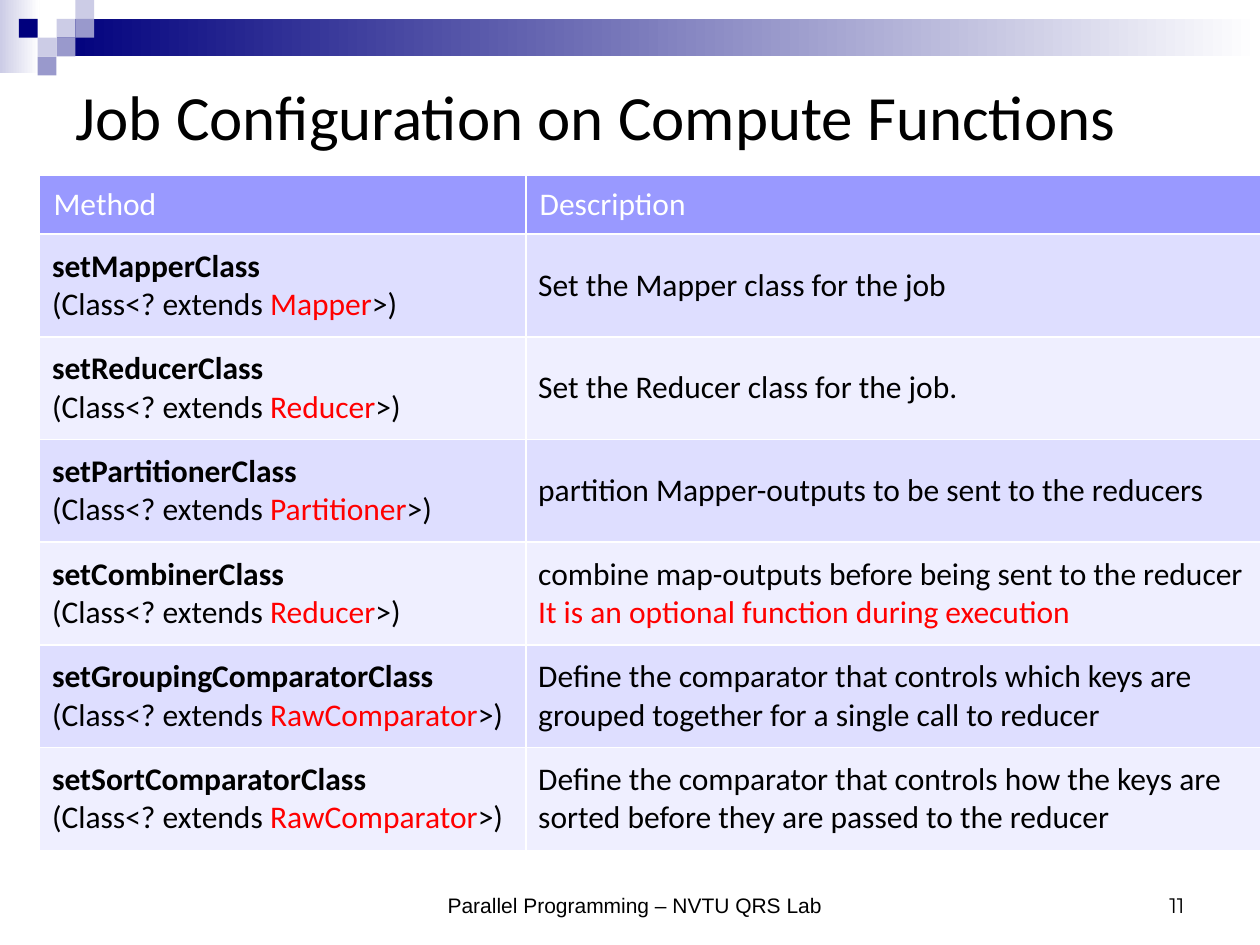
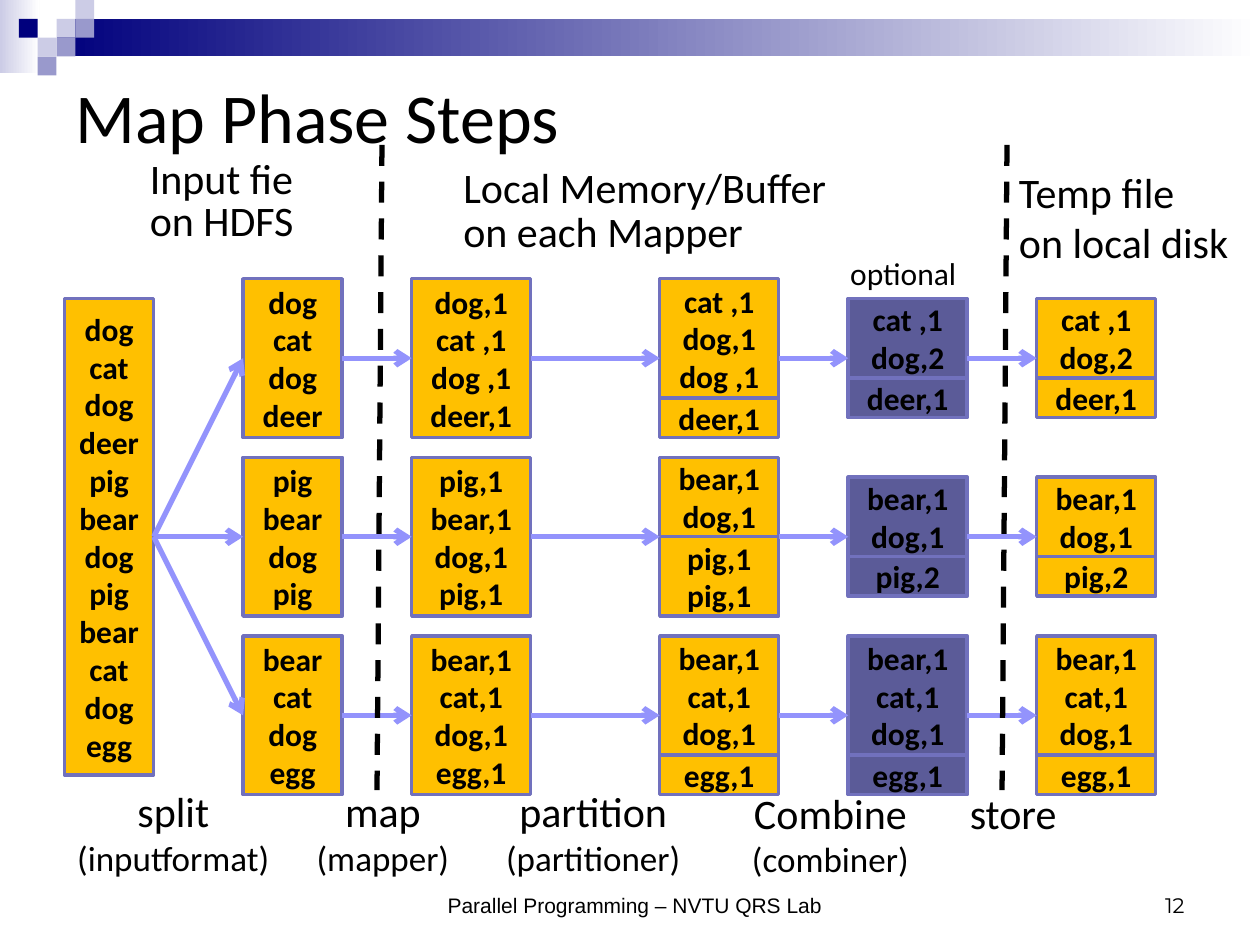
from dataclasses import dataclass
from itertools import chain
from typing import NamedTuple

from lxml.etree import SubElement
from pptx import Presentation
from pptx.dml.color import RGBColor
from pptx.enum.dml import MSO_LINE
from pptx.enum.shapes import MSO_CONNECTOR, MSO_SHAPE
from pptx.enum.text import MSO_ANCHOR, MSO_AUTO_SIZE, PP_ALIGN
from pptx.oxml.ns import qn
from pptx.util import Cm, Pt

# Shared look
BLACK, WHITE, RED = "000000", "FFFFFF", "FF0000"
NAVY, LILAC, MAUVE = "00007D", "CCCCE6", "9999CC"
HEADER_FILL, ROW_FILLS = "9999FF", ("DEDEFF", "EFEFFF")
AMBER, PURPLE, BOX_EDGE, ARROW = "FFC000", "5B5B98", "7171BD", "9393FC"
BODY_FONT = "Calibri"
FOOTER = "Parallel Programming – NVTU QRS Lab"
SQUARE = 0.38

# Map phase grid, in centimetres
LINE_HEIGHT = 0.8
LANE_CENTRES = [7.22 + 3.6 * lane for lane in range(3)]


class Span(NamedTuple):
    text: str
    size: float = 18
    color: str = BLACK
    bold: bool = False
    font: str = BODY_FONT


@dataclass
class Caption:
    left: float
    top: float
    width: float
    height: float
    lines: list[Span]
    align: PP_ALIGN = PP_ALIGN.LEFT
    spacing: float | None = None
    anchor: MSO_ANCHOR = MSO_ANCHOR.TOP


@dataclass
class Stage:
    """A column of boxes: each lane holds partitions, each partition lines."""
    left: float
    width: float
    lanes: list[list[str]]
    fill: str = AMBER


class Method(NamedTuple):
    name: str
    parameter: str
    description: str
    remark: str = ""


METHODS = [
    Method("setMapperClass", "Mapper", "Set the Mapper class for the job"),
    Method("setReducerClass", "Reducer", "Set the Reducer class for the job."),
    Method("setPartitionerClass", "Partitioner",
           "partition Mapper-outputs to be sent to the reducers"),
    Method("setCombinerClass", "Reducer",
           "combine map-outputs before being sent to the reducer",
           "It is an optional function during execution"),
    Method("setGroupingComparatorClass", "RawComparator",
           "Define the comparator that controls which keys are grouped "
           "together for a single call to reducer"),
    Method("setSortComparatorClass", "RawComparator",
           "Define the comparator that controls how the keys are sorted "
           "before they are passed to the reducer"),
]

# Lines are parted by "/", partitions are separate strings
SPLITS = [["dog/cat/dog/deer"], ["pig/bear/dog/pig"], ["bear/cat/dog/egg"]]
MAPPED = [["dog,1/cat ,1/dog ,1/deer,1"], ["pig,1/bear,1/dog,1/pig,1"],
          ["bear,1/cat,1/dog,1/egg,1"]]
PARTITIONED = [["cat ,1/dog,1/dog ,1", "deer,1"], ["bear,1/dog,1", "pig,1/pig,1"],
               ["bear,1/cat,1/dog,1", "egg,1"]]
COMBINED = [["cat ,1/dog,2", "deer,1"], ["bear,1/dog,1", "pig,2"],
            ["bear,1/cat,1/dog,1", "egg,1"]]

STAGES = [
    Stage(4.9, 2.0, SPLITS),
    Stage(8.3, 2.4, MAPPED),
    Stage(13.3, 2.4, PARTITIONED),
    Stage(17.1, 2.4, COMBINED, PURPLE),
    Stage(20.9, 2.4, COMBINED),
]
INPUT_LEFT, INPUT_WIDTH = 1.3, 1.8


def step(left: float, top: float, width: float, name: str, actor: str) -> Caption:
    return Caption(left, top, width, 2.13, [Span(name, 24), Span(actor, 20)],
                   PP_ALIGN.CENTER)


CAPTIONS = [
    Caption(2.77, 3.12, 3.73, 1.98, [Span("Input fie", 24), Span("on HDFS", 24)],
            spacing=24),
    Caption(9.09, 3.28, 8.18, 2.03,
            [Span("Local Memory/Buffer", 24), Span("on each Mapper", 24)],
            spacing=24.8),
    Caption(20.29, 3.23, 5.59, 2.31,
            [Span("Temp file", 24), Span("on local disk", 24)]),
    Caption(16.89, 5.0, 3.73, 1.02, [Span("optional")]),
    step(0.89, 15.72, 5.21, "split", "(inputformat)"),
    step(5.69, 15.72, 4.06, "map", "(mapper)"),
    step(8.71, 15.72, 6.5, "partition", "(partitioner)"),
    step(14.71, 15.75, 4.06, "Combine", "(combiner)"),
    Caption(19.3, 15.75, 2.8, 1.27, [Span("store", 24)]),
]


def rgb(color: str) -> RGBColor:
    return RGBColor.from_string(color)


# Text
def write(frame, lines: list[list[Span]], align=PP_ALIGN.LEFT,
          spacing: float | None = None) -> None:
    frame.word_wrap = True
    for index, line in enumerate(lines):
        para = frame.add_paragraph() if index else frame.paragraphs[0]
        para.alignment = align
        if spacing:
            para.line_spacing = Pt(spacing)
        for span in line:
            run = para.add_run()
            run.text = span.text
            run.font.name = span.font
            run.font.size = Pt(span.size)
            run.font.bold = span.bold
            run.font.color.rgb = rgb(span.color)


def add_caption(page, caption: Caption) -> None:
    box = page.shapes.add_textbox(Cm(caption.left), Cm(caption.top),
                                  Cm(caption.width), Cm(caption.height))
    box.text_frame.vertical_anchor = caption.anchor
    write(box.text_frame, [[span] for span in caption.lines],
          caption.align, caption.spacing)


# Shapes and lines
def add_rectangle(page, left: float, top: float, width: float, height: float,
                  fill: str, fade_to: str = "", edge: str = ""):
    box = page.shapes.add_shape(MSO_SHAPE.RECTANGLE, Cm(left), Cm(top),
                                Cm(width), Cm(height))
    box.shadow.inherit = False
    if fade_to:
        box.fill.gradient()
        box.fill.gradient_angle = 0
        for stop, color in zip(box.fill.gradient_stops, (fill, fade_to)):
            stop.color.rgb = rgb(color)
    else:
        box.fill.solid()
        box.fill.fore_color.rgb = rgb(fill)
    if edge:
        box.line.color.rgb = rgb(edge)
        box.line.width = Pt(2)
    else:
        box.line.fill.background()
    return box


def add_line(page, start: tuple[float, float], end: tuple[float, float],
             color: str, arrow: bool = False) -> None:
    line = page.shapes.add_connector(MSO_CONNECTOR.STRAIGHT, Cm(start[0]),
                                     Cm(start[1]), Cm(end[0]), Cm(end[1]))
    line.line.color.rgb = rgb(color)
    line.line.width = Pt(3)
    properties = line.element.spPr
    if arrow:
        SubElement(properties.find(qn("a:ln")), qn("a:tailEnd"), type="arrow")
    else:
        line.line.dash_style = MSO_LINE.DASH
    SubElement(properties, qn("a:effectLst"))


def add_data_box(page, left: float, top: float, width: float,
                 text: str, fill: str) -> float:
    """Draw a box as tall as its lines and return its bottom edge."""
    words = text.split("/")
    height = LINE_HEIGHT * len(words)
    box = add_rectangle(page, left, top, width, height, fill, edge=BOX_EDGE)
    box.text_frame.vertical_anchor = MSO_ANCHOR.MIDDLE
    write(box.text_frame, [[Span(word, bold=True)] for word in words],
          PP_ALIGN.CENTER)
    return top + height


# Page frame: bands, title and footer
def add_page(deck, title: str, title_size: float, number: int):
    page = deck.slides.add_slide(deck.slide_layouts[5])
    add_rectangle(page, 0, 0, 0.8, 1.47, LILAC, WHITE)
    add_rectangle(page, 3 * SQUARE, SQUARE, 24.26, 2 * SQUARE, NAVY, WHITE)
    squares = [(1, 1, NAVY)]
    for column in (2, 3, 4):
        squares += [(column, 4 - column, LILAC), (column, 5 - column, MAUVE)]
    for column, row, color in squares:
        add_rectangle(page, column * SQUARE, row * SQUARE, SQUARE, SQUARE, color)

    heading = page.shapes.title
    heading.left, heading.top = Cm(1.27), Cm(1.27)
    heading.width, heading.height = Cm(22.86), Cm(2.11)
    heading.text_frame.auto_size = MSO_AUTO_SIZE.NONE
    heading.text_frame.vertical_anchor = MSO_ANCHOR.MIDDLE
    write(heading.text_frame, [[Span(title, title_size)]])

    add_caption(page, Caption(7.82, 17.35, 9.96, 1.27,
                              [Span(FOOTER, 12, font="Arial")],
                              PP_ALIGN.CENTER, anchor=MSO_ANCHOR.BOTTOM))
    add_caption(page, Caption(18.21, 17.35, 5.92, 1.27,
                              [Span(str(number), 12, font="Montserrat")],
                              PP_ALIGN.RIGHT, anchor=MSO_ANCHOR.BOTTOM))
    return page


# Method table
def fill_cell(cell, lines: list[list[Span]], fill: str,
              margin_left: float, margin_right: float) -> None:
    cell.fill.solid()
    cell.fill.fore_color.rgb = rgb(fill)
    cell.vertical_anchor = MSO_ANCHOR.MIDDLE
    cell.margin_left, cell.margin_right = Cm(margin_left), Cm(margin_right)
    write(cell.text_frame, lines)


def add_method_table(page) -> None:
    widths, heights = [9.8, 14.81], [1.18] + [2.07] * len(METHODS)
    table = page.shapes.add_table(len(heights), len(widths), Cm(0.8), Cm(3.54),
                                  Cm(sum(widths)), Cm(sum(heights))).table
    for column, width in zip(table.columns, widths):
        column.width = Cm(width)
    for row, height in zip(table.rows, heights):
        row.height = Cm(height)
    for column, name in enumerate(("Method", "Description")):
        fill_cell(table.cell(0, column), [[Span(name, color=WHITE)]],
                  HEADER_FILL, 0.28, 0)
    for index, method in enumerate(METHODS):
        fill = ROW_FILLS[index % 2]
        signature = [Span("(Class<? extends "),
                     Span(method.parameter, color=RED), Span(">)")]
        description = [[Span(method.description)]]
        if method.remark:
            description.append([Span(method.remark, color=RED)])
        fill_cell(table.cell(index + 1, 0),
                  [[Span(method.name, bold=True)], signature], fill, 0.25, 0)
        fill_cell(table.cell(index + 1, 1), description, fill, 0.25, 0.1)


# Map phase diagram
def add_map_phase(page) -> None:
    words = "/".join(chain.from_iterable(SPLITS))
    middle = LANE_CENTRES[1]
    input_top = middle - LINE_HEIGHT * len(words.split("/")) / 2
    add_data_box(page, INPUT_LEFT, input_top, INPUT_WIDTH, words, AMBER)

    for stage in STAGES:
        for centre, partitions in zip(LANE_CENTRES, stage.lanes):
            line_count = sum(len(part.split("/")) for part in partitions)
            top = centre - LINE_HEIGHT * line_count / 2
            for part in partitions:
                top = add_data_box(page, stage.left, top, stage.width,
                                   part, stage.fill)

    for centre in LANE_CENTRES:
        add_line(page, (INPUT_LEFT + INPUT_WIDTH, middle),
                 (STAGES[0].left, centre), ARROW, arrow=True)
        for source, target in zip(STAGES, STAGES[1:]):
            add_line(page, (source.left + source.width, centre),
                     (target.left, centre), ARROW, arrow=True)

    for caption in CAPTIONS:
        add_caption(page, caption)
    for divider in (7.7, 20.3):
        add_line(page, (divider, 2.92), (divider - 0.1, 15.93), BLACK)


def main() -> None:
    deck = Presentation()
    deck.slide_width, deck.slide_height = Cm(25.4), Cm(19.05)
    add_method_table(add_page(deck, "Job Configuration on Compute Functions", 36, 11))
    add_map_phase(add_page(deck, "Map Phase Steps", 40, 12))
    deck.save("out.pptx")


if __name__ == "__main__":
    main()
